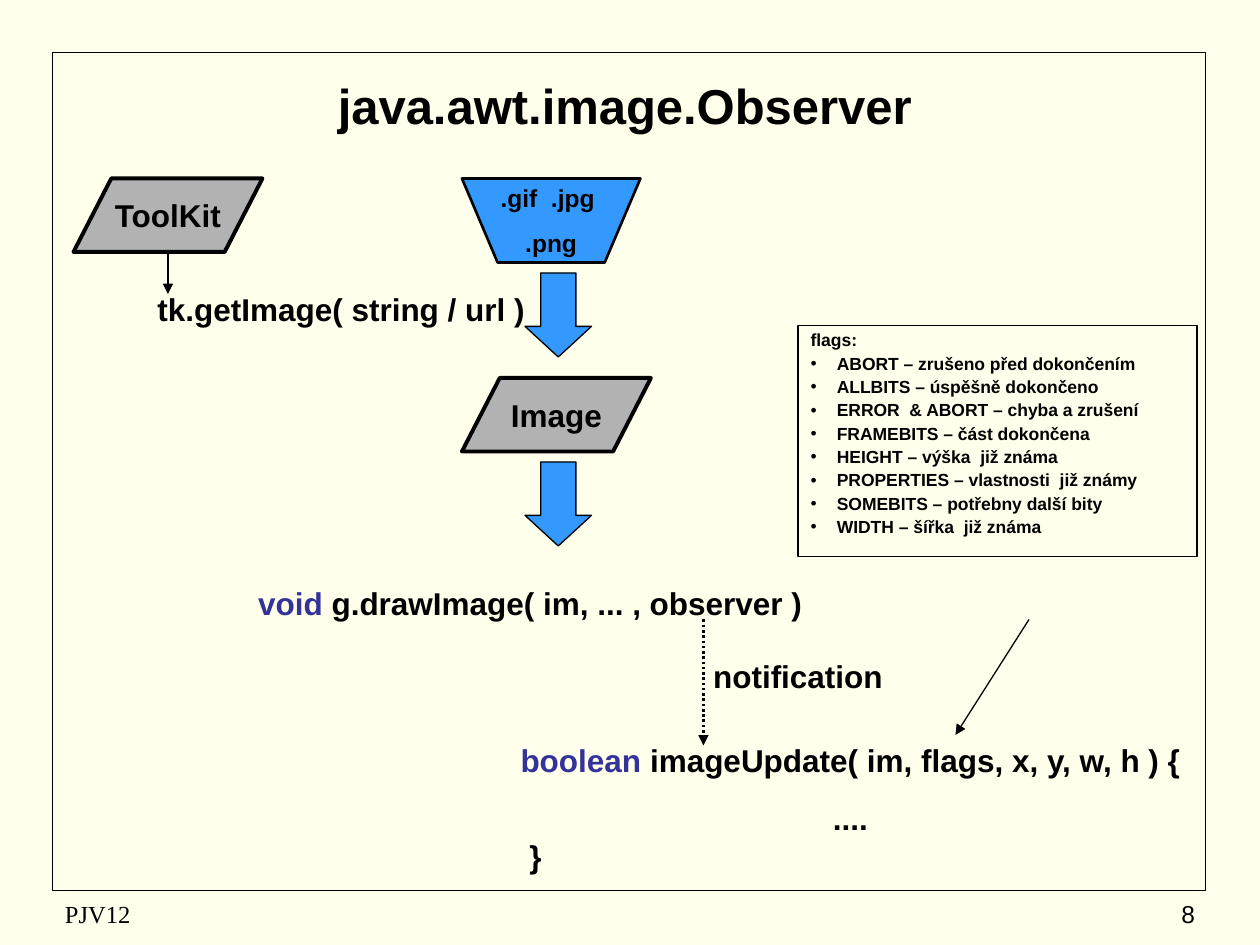
"""Build the slide on java.awt.image.Observer and its image loading flow."""
from typing import NamedTuple

from lxml import etree
from pptx import Presentation
from pptx import util as u
from pptx.dml.color import RGBColor
from pptx.enum import dml, shapes, text
from pptx.oxml.ns import qn

COLORS = {"paper": "FFFFEB", "ink": "000000", "keyword": "333399",
          "flow": "3399FF", "object": "B2B2B2"}
LEFT, CENTER, RIGHT = text.PP_ALIGN.LEFT, text.PP_ALIGN.CENTER, text.PP_ALIGN.RIGHT
PRESET = shapes.MSO_SHAPE


class Box(NamedTuple):
    left: float
    top: float
    width: float
    height: float


class Label(NamedTuple):
    box: Box
    lines: list[str]
    keyword: str = ""
    size: float = 18
    font: str = "Arial"
    bold: bool = True
    align: text.PP_ALIGN = CENTER
    anchor: text.MSO_ANCHOR = text.MSO_ANCHOR.TOP


class Node(NamedTuple):
    box: Box
    preset: shapes.MSO_SHAPE
    fill: str
    line_width: float
    lines: list[str] = []
    size: float = 18
    rotation: float = 0


class Arrow(NamedTuple):
    start: tuple[float, float]
    end: tuple[float, float]
    width: float = 0.75
    dotted: bool = False


ARROW_SIZE = (48, 38)
NODES = [
    Node(Box(264, 102, 102, 48), PRESET.FLOWCHART_MANUAL_OPERATION, "flow", 1.5,
         [".gif  .jpg ", ".png"], 14),
    Node(Box(42, 102, 108, 42), PRESET.FLOWCHART_DATA, "object", 2.25, ["ToolKit"]),
    Node(Box(264, 216, 108, 42), PRESET.FLOWCHART_DATA, "object", 2.25, ["Image"]),
    *(Node(Box(295, top, *ARROW_SIZE), PRESET.RIGHT_ARROW, "flow", 0.75, rotation=90)
      for top in (161, 269)),
]
FOOTER = {"size": 14, "bold": False, "anchor": text.MSO_ANCHOR.MIDDLE}
LABELS = [
    Label(Box(132, 330, 342, 29), [" g.drawImage( im, ... , observer )"], "void"),
    Label(Box(72, 162, 246, 29), ["tk.getImage( string / url )"]),
    Label(Box(288, 420, 396, 62),
          ["imageUpdate( im, flags, x, y, w, h ) {", "...."], "boolean "),
    Label(Box(294, 475, 24, 29), ["}"]),
    Label(Box(390, 372, 132, 29), ["notification"]),
    Label(Box(30, 510, 228, 24), ["PJV12"], font="Times New Roman", align=LEFT, **FOOTER),
    Label(Box(540, 510, 150, 24), ["8"], align=RIGHT, **FOOTER),
]
ARROWS = [
    Arrow((96, 144), (96, 168)),
    Arrow((402, 354), (402, 426), 1.5, dotted=True),
    Arrow((588, 354), (546, 420)),
]
FLAGS = [
    "ABORT – zrušeno před dokončením",
    "ALLBITS – úspěšně dokončeno",
    "ERROR  & ABORT – chyba a zrušení",
    "FRAMEBITS – část dokončena",
    "HEIGHT – výška  již známa",
    "PROPERTIES – vlastnosti  již známy",
    "SOMEBITS – potřebny další bity",
    "WIDTH – šířka  již známa",
]


def color(name: str) -> RGBColor:
    """Look up a palette colour."""
    return RGBColor.from_string(COLORS[name])


def points(box: Box) -> list[u.Pt]:
    """Convert a box to lengths."""
    return [u.Pt(value) for value in box]


def place(placeholder, box: Box) -> None:
    """Move a placeholder to a box."""
    (placeholder.left, placeholder.top,
     placeholder.width, placeholder.height) = points(box)


def set_font(font, size: float, name: str = "Arial", bold: bool = True,
             ink: str = "ink") -> None:
    """Set all font properties."""
    font.size, font.name, font.bold = u.Pt(size), name, bold
    font.color.rgb = color(ink)


def outline(shape, width: float) -> None:
    """Draw a black outline."""
    shape.line.color.rgb = color("ink")
    shape.line.width = u.Pt(width)


def write_lines(frame, lines: list[str], size: float, align: text.PP_ALIGN = CENTER,
                name: str = "Arial", bold: bool = True, keyword: str = "") -> None:
    """Write paragraphs, the first one led by an optional keyword."""
    for index, line in enumerate(lines):
        paragraph = frame.add_paragraph() if index else frame.paragraphs[0]
        paragraph.alignment = align
        if index:
            paragraph.space_before = u.Pt(round(size * 0.625, 1))
        if keyword and not index:
            for words, ink in ((keyword, "keyword"), (line, "ink")):
                run = paragraph.add_run()
                run.text = words
                set_font(run.font, size, name, bold, ink)
        else:
            paragraph.text = line
            set_font(paragraph.font, size, name, bold)


def draw_node(slide, node: Node) -> None:
    """Draw a filled shape with centred text."""
    shape = slide.shapes.add_shape(node.preset, *points(node.box))
    shape.shadow.inherit = False
    shape.rotation = node.rotation
    if node.preset == PRESET.RIGHT_ARROW:
        shape.adjustments[0], shape.adjustments[1] = 0.53, 0.46
    shape.fill.solid()
    shape.fill.fore_color.rgb = color(node.fill)
    outline(shape, node.line_width)
    shape.text_frame.word_wrap = False
    shape.text_frame.vertical_anchor = text.MSO_ANCHOR.MIDDLE
    write_lines(shape.text_frame, node.lines, node.size)


def draw_label(slide, label: Label) -> None:
    """Draw a free text label."""
    frame = slide.shapes.add_textbox(*points(label.box)).text_frame
    frame.word_wrap = True
    frame.vertical_anchor = label.anchor
    write_lines(frame, label.lines, label.size, label.align, label.font,
                label.bold, label.keyword)


def draw_arrow(slide, arrow: Arrow) -> None:
    """Draw a line with a triangular head at its end."""
    connector = slide.shapes.add_connector(
        shapes.MSO_CONNECTOR.STRAIGHT, *map(u.Pt, (*arrow.start, *arrow.end)))
    outline(connector, arrow.width)
    if arrow.dotted:
        connector.line.dash_style = dml.MSO_LINE.ROUND_DOT
    etree.SubElement(connector.line._get_or_add_ln(), qn("a:tailEnd"), type="triangle")
    etree.SubElement(connector._element.spPr, qn("a:effectLst"))


def fill_flags(flags_box) -> None:
    """Write the bulleted list of flags."""
    place(flags_box, Box(456, 186, 228, 132))
    outline(flags_box, 0.75)
    frame = flags_box.text_frame
    frame.auto_size = text.MSO_AUTO_SIZE.NONE
    for index, line in enumerate(["flags:", *FLAGS]):
        paragraph = frame.add_paragraph() if index else frame.paragraphs[0]
        paragraph.text = line
        paragraph.line_spacing = 0.9
        paragraph.space_before = u.Pt(2.5 if index else 0)
        properties = paragraph._p.get_or_add_pPr()
        properties.set("marL", str(u.Pt(15)))
        properties.set("indent", str(u.Pt(-15)))
        if index:
            etree.SubElement(properties, qn("a:buChar"), char="•")
        else:
            etree.SubElement(properties, qn("a:buNone"))
        set_font(paragraph.font, 10)


def main() -> None:
    """Assemble and save the slide."""
    deck = Presentation()
    deck.slide_width, deck.slide_height = u.Pt(720), u.Pt(540)
    slide = deck.slides.add_slide(deck.slide_layouts[1])
    slide.background.fill.solid()
    slide.background.fill.fore_color.rgb = color("paper")
    border = slide.shapes.add_shape(PRESET.RECTANGLE, *points(Box(30, 30, 659, 479)))
    border.shadow.inherit = False
    border.fill.background()
    outline(border, 1)
    title, flags_box = slide.placeholders
    place(title, Box(36, 36, 642, 48))
    title.text_frame.vertical_anchor = text.MSO_ANCHOR.MIDDLE
    write_lines(title.text_frame, ["java.awt.image.Observer"], 28)
    fill_flags(flags_box)
    for node in NODES:
        draw_node(slide, node)
    for label in LABELS:
        draw_label(slide, label)
    for arrow in ARROWS:
        draw_arrow(slide, arrow)
    deck.save("out.pptx")


if __name__ == "__main__":
    main()
